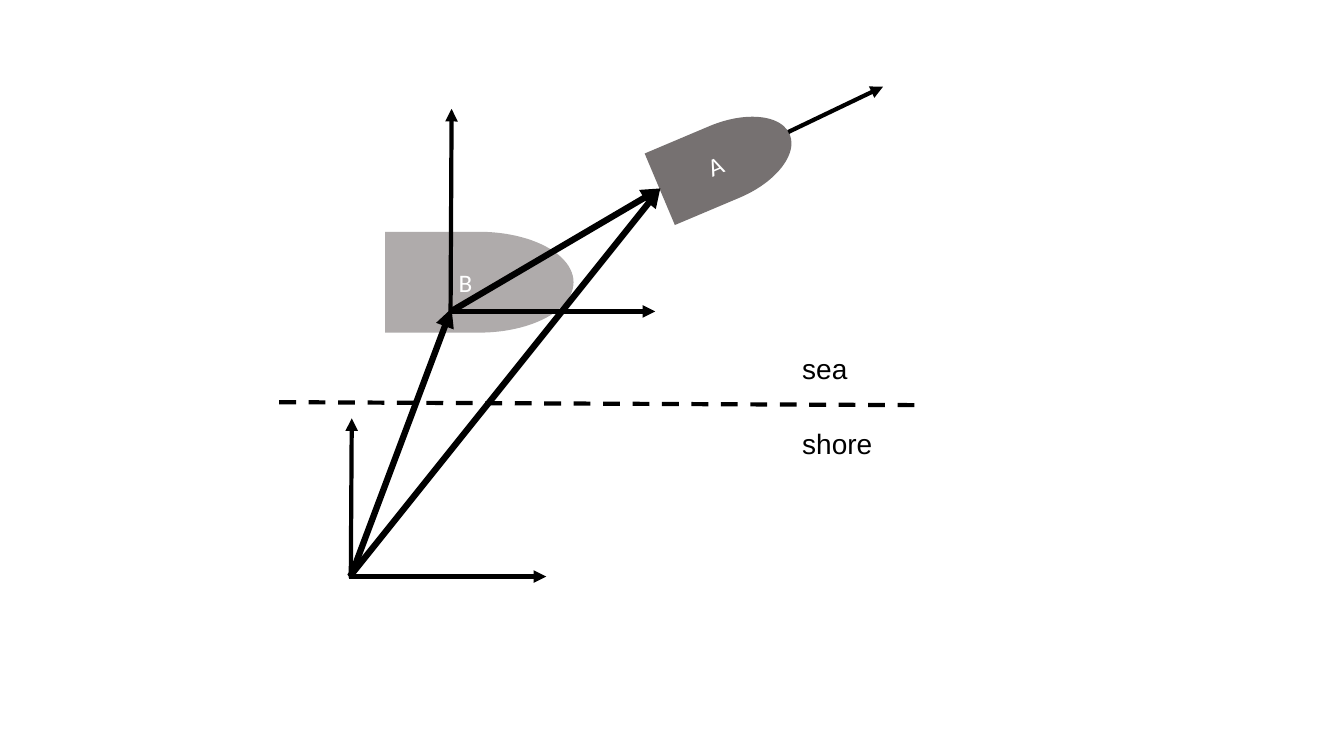
from dataclasses import dataclass

from lxml import etree
from pptx import Presentation
from pptx.dml.color import RGBColor
from pptx.enum.dml import MSO_LINE
from pptx.enum.shapes import MSO_CONNECTOR, MSO_SHAPE
from pptx.enum.text import MSO_ANCHOR, MSO_AUTO_SIZE, PP_ALIGN
from pptx.oxml.ns import qn
from pptx.shapes.shapetree import GroupShapes
from pptx.util import Inches, Pt

HULL = MSO_SHAPE.FLOWCHART_DELAY
STRAIGHT = MSO_CONNECTOR.STRAIGHT
DASH = MSO_LINE.DASH
CENTER = PP_ALIGN.CENTER
MIDDLE = MSO_ANCHOR.MIDDLE
FIT = MSO_AUTO_SIZE.SHAPE_TO_FIT_TEXT

COLS, ROWS = 133.33, 75
CELL = Inches(0.1)
BLACK, WHITE = "000000", "FFFFFF"
THIN, THICK = 3, 4.5

Point = tuple[float, float]


@dataclass
class Boat:
    name: str
    left: float
    top: float
    width: float
    height: float
    fill: str
    turn: float = 0


@dataclass
class Line:
    start: Point
    end: Point
    weight: float = THIN
    dashed: bool = False


@dataclass
class Label:
    text: str
    top: float
    width: float


LABEL_LEFT, LABEL_HEIGHT = 78.6, 4.4
STERN = (65.5, 18.7)

BOATS = [
    Boat("B", 38.2, 23, 18.7, 10, "AFABAB"),
    Boat("A", 64.9, 12.2, 14, 7.7, "767171", 337.1),
]
LINES = [
    Line((44.7, 31.1), (44.8, 10.8)),
    Line((44.5, 30.9), (65, 30.9)),
    Line((34.8, 57.3), (34.9, 41.5)),
    Line((34.6, 57.2), (54.2, 57.2)),
    Line((27.7, 39.9), (91.7, 40.2), dashed=True),
    Line((34.8, 57.2), (44.8, 30.6), THICK),
    Line((44.9, 30.8), STERN, THICK),
    Line((34.7, 57.2), STERN, THICK),
    Line((78.2, 13.1), (87.6, 8.6)),
]
LABELS = [Label("shore", 41.8, 9), Label("sea", 34.4, 6.5)]


def cells(*counts: float) -> list[int]:
    return [round(count * CELL) for count in counts]


def color(code: str) -> RGBColor:
    return RGBColor.from_string(code)


def draw_boat(shapes: GroupShapes, boat: Boat) -> None:
    hull = shapes.add_shape(HULL, *cells(boat.left, boat.top, boat.width, boat.height))
    hull.rotation = boat.turn
    hull.shadow.inherit = False
    hull.fill.solid()
    hull.fill.fore_color.rgb = color(boat.fill)
    hull.line.fill.background()
    frame = hull.text_frame
    frame.vertical_anchor = MIDDLE
    name = frame.paragraphs[0]
    name.text = boat.name
    name.alignment = CENTER
    name.font.name = "Calibri"
    name.font.size = Pt(18)
    name.font.color.rgb = color(WHITE)


def draw_line(shapes: GroupShapes, item: Line) -> None:
    line = shapes.add_connector(STRAIGHT, *cells(*item.start, *item.end))
    line.line.color.rgb = color(BLACK)
    line.line.width = Pt(item.weight)
    props = line._element.spPr
    if item.dashed:
        line.line.dash_style = DASH
    else:
        etree.SubElement(props.find(qn("a:ln")), qn("a:tailEnd"), type="triangle")
    etree.SubElement(props, qn("a:effectLst"))


def draw_label(shapes: GroupShapes, label: Label) -> None:
    box = shapes.add_textbox(*cells(LABEL_LEFT, label.top, label.width, LABEL_HEIGHT))
    frame = box.text_frame
    frame.word_wrap = False
    frame.auto_size = FIT
    text = frame.paragraphs[0]
    text.text = label.text
    text.font.name = "Arial"
    text.font.size = Pt(20)
    text.font.color.rgb = color(BLACK)


def main() -> None:
    deck = Presentation()
    deck.slide_width, deck.slide_height = cells(COLS, ROWS)
    slide = deck.slides.add_slide(deck.slide_layouts[6])
    scene = slide.shapes.add_group_shape().shapes
    for boat in BOATS:
        draw_boat(scene, boat)
    for line in LINES:
        draw_line(scene, line)
    for label in LABELS:
        draw_label(scene, label)
    deck.save("out.pptx")


if __name__ == "__main__":
    main()
